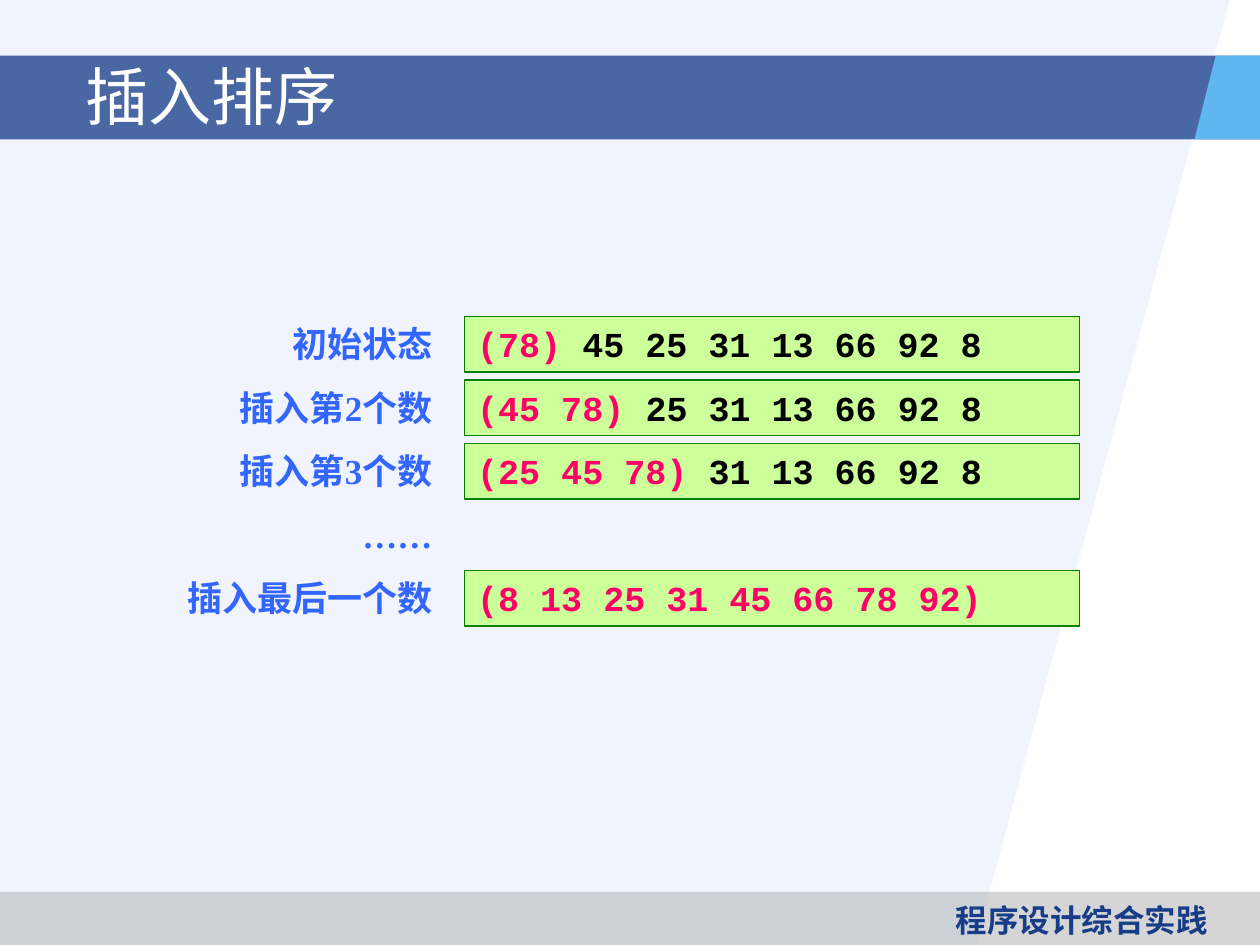
"""Build the insertion sort slide with its step-by-step table of states."""
from lxml.etree import SubElement
from pptx import Presentation
from pptx.dml.color import RGBColor
from pptx.enum.shapes import MSO_SHAPE
from pptx.enum.text import MSO_ANCHOR, PP_ALIGN
from pptx.oxml.ns import qn
from pptx.util import Cm, Pt

COLORS = {
    "navy": "173D89", "sky": "5FB6F1", "mist": "94B1EC", "gray": "969696",
    "white": "FFFFFF", "black": "000000", "lime": "CCFF99", "green": "008000",
    "pink": "FF0066", "blue": "3366FF",
}
TITLE = "插入排序"
FOOTER = "程序设计综合实践"
STEPS = [
    ("初始状态", "(78)", " 45 25 31 13 66 92 8"),
    ("插入第2个数", "(45 78)", " 25 31 13 66 92 8"),
    ("插入第3个数", "(25 45 78)", " 31 13 66 92 8"),
    ("……", "", ""),
    ("插入最后一个数", "(8 13 25 31 45 66 78 92)", ""),
]
WIDTH, HEIGHT = 25.4, 19.05
BAND_TOP, BAND_BOTTOM = 1.12, 2.81
FOOTER_TOP = 17.98
BACKDROP = [(0, 0), (24.79, 0), (19.66, HEIGHT), (0, HEIGHT)]
ACCENT = [(24.51, BAND_TOP), (24.08, BAND_BOTTOM), (WIDTH, BAND_BOTTOM), (WIDTH, BAND_TOP)]
ROW_TOP, ROW_PITCH, ROW_HEIGHT = 6.38, 1.28, 1.12
LABEL_LEFT, LABEL_WIDTH = 3.18, 5.79
STATE_LEFT, STATE_WIDTH = 9.37, 12.4


def rgb(name):
    return RGBColor.from_string(COLORS[name])


def paint(sp, fill, line=None, alpha=None):
    sp.shadow.inherit = False
    sp.fill.solid()
    sp.fill.fore_color.rgb = rgb(fill)
    if alpha:
        color = sp.fill._xPr.find(qn("a:solidFill"))[0]
        SubElement(color, qn("a:alpha")).set("val", str(alpha * 1000))
    if line:
        sp.line.color.rgb = rgb(line)
        sp.line.width = Pt(0.75)
    else:
        sp.line.fill.background()
    return sp


def add_rect(slide, left, top, width, height, fill, **style):
    sp = slide.shapes.add_shape(MSO_SHAPE.RECTANGLE, Cm(left), Cm(top), Cm(width), Cm(height))
    return paint(sp, fill, **style)


def add_polygon(slide, points, fill, **style):
    corners = [(Cm(x), Cm(y)) for x, y in points]
    builder = slide.shapes.build_freeform(*corners[0])
    builder.add_line_segments(corners[1:], close=True)
    return paint(builder.convert_to_shape(), fill, **style)


def add_box(slide, left, top, width, height):
    return slide.shapes.add_textbox(Cm(left), Cm(top), Cm(width), Cm(height))


def write(sp, text, color, size=20, font="Times New Roman", bold=True,
          align=PP_ALIGN.LEFT, anchor=MSO_ANCHOR.TOP):
    tf = sp.text_frame
    tf.word_wrap = True
    tf.vertical_anchor = anchor
    p = tf.paragraphs[0]
    p.alignment = align
    r = p.add_run()
    r.text = text
    r.font.size = Pt(size)
    r.font.name = font
    r.font.bold = bold
    r.font.color.rgb = rgb(color)


def main():
    prs = Presentation()
    prs.slide_width, prs.slide_height = Cm(WIDTH), Cm(HEIGHT)
    slide = prs.slides.add_slide(prs.slide_layouts[6])

    add_rect(slide, 0, FOOTER_TOP, WIDTH, HEIGHT - FOOTER_TOP, "gray", alpha=40)
    add_polygon(slide, BACKDROP, "mist", alpha=13)
    add_rect(slide, 0, BAND_TOP, WIDTH, BAND_BOTTOM - BAND_TOP, "navy", alpha=77)
    add_polygon(slide, ACCENT, "sky")
    write(add_box(slide, 18.42, 18.03, 6.78, 1.02), FOOTER, "navy", size=18,
          font="DejaVu Sans", align=PP_ALIGN.CENTER)
    write(add_box(slide, 1.47, 1.14, 22.86, 1.57), TITLE, "white", size=36,
          font="Cabin", bold=False, anchor=MSO_ANCHOR.MIDDLE)

    for i, (label, done, rest) in enumerate(STEPS):
        top = ROW_TOP + i * ROW_PITCH
        write(add_box(slide, LABEL_LEFT, top, LABEL_WIDTH, ROW_HEIGHT), label, "blue",
              align=PP_ALIGN.RIGHT)
        if done:
            sp = add_rect(slide, STATE_LEFT, top, STATE_WIDTH, ROW_HEIGHT, "lime", line="green")
            for text, color in ((done, "pink"), (rest, "black")):
                if text:
                    write(sp, text, color, font="Courier New")

    prs.save("out.pptx")


if __name__ == "__main__":
    main()
